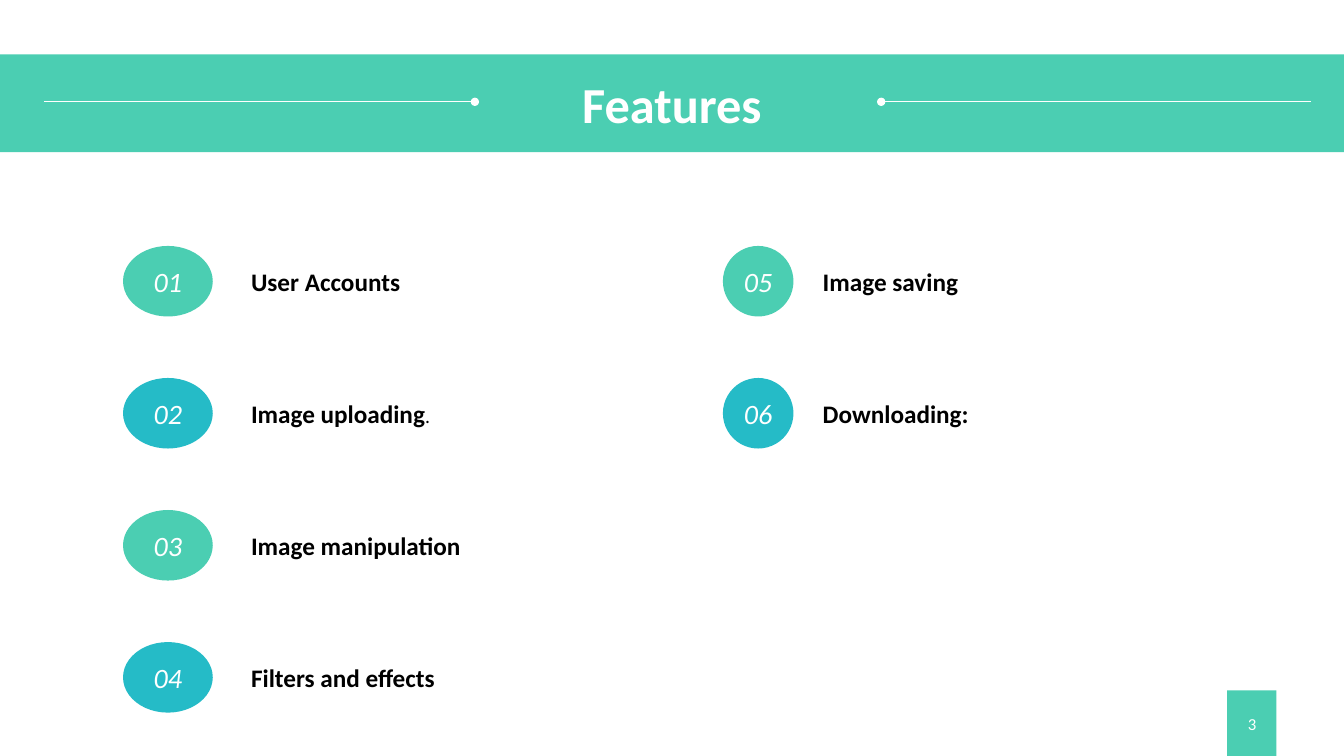
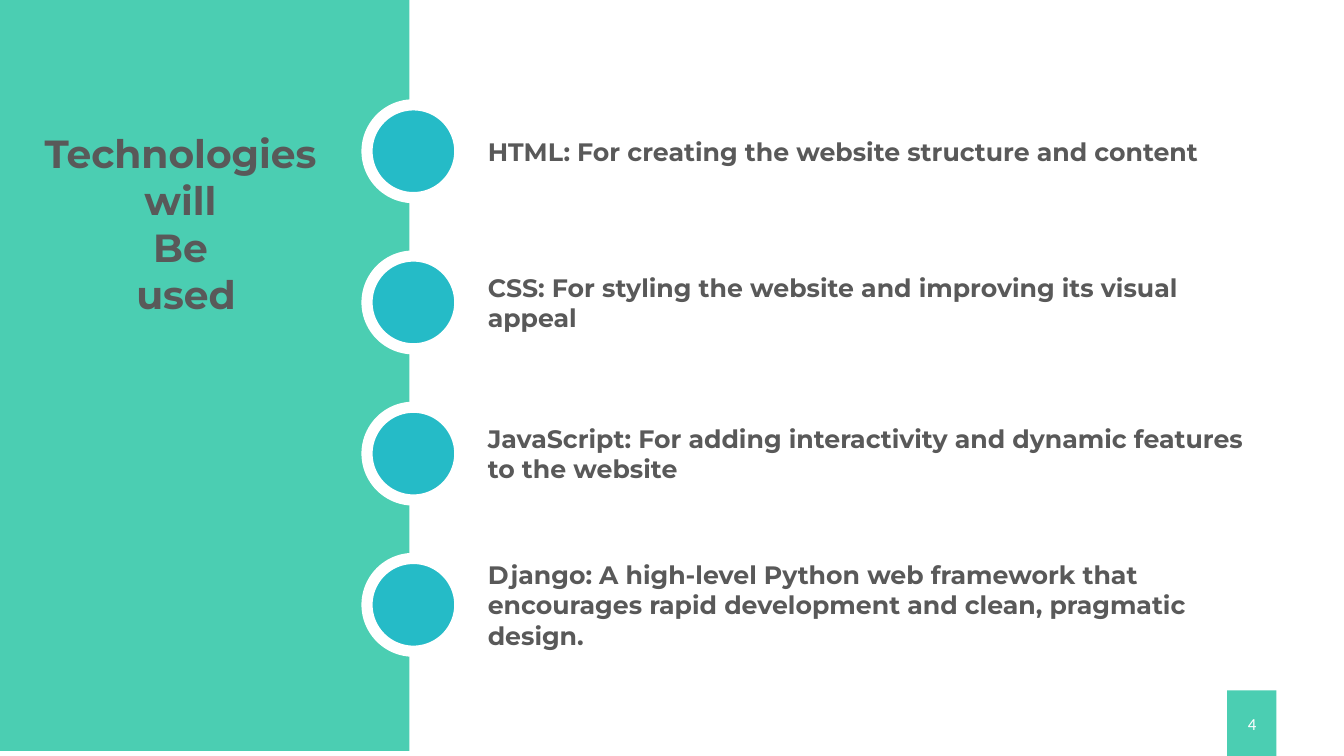
"""Build the features and technologies slides of a web project deck."""
from dataclasses import dataclass

from lxml.etree import SubElement
from pptx import Presentation
from pptx.dml.color import RGBColor
from pptx.enum.shapes import MSO_CONNECTOR as Connector, MSO_SHAPE as Preset
from pptx.enum.text import MSO_ANCHOR as Anchor, MSO_AUTO_SIZE as AutoSize, PP_ALIGN as Align
from pptx.oxml.ns import qn
from pptx.util import Inches, Pt

COLORS = {
    "green": "4BCEB2",
    "blue": "25BBC7",
    "white": "FFFFFF",
    "black": "000000",
    "gray": "595959",
}


@dataclass(frozen=True)
class TextStyle:
    size: float
    color: str
    font: str = "Calibri"
    bold: bool = False
    italic: bool = False
    align: Align = Align.LEFT


@dataclass(frozen=True)
class Area:
    left: float
    top: float
    width: float
    height: float

    def lengths(self) -> tuple:
        return tuple(Inches(value) for value in (self.left, self.top, self.width, self.height))


@dataclass(frozen=True)
class FeatureColumn:
    badge_left: float
    badge_width: float
    label_left: float
    label_width: float
    first_number: int
    labels: tuple[str, ...]


@dataclass(frozen=True)
class Technology:
    text: str
    height: float


BAND_TITLE = TextStyle(36, "white", bold=True, align=Align.CENTER)
SIDE_TITLE = TextStyle(28, "gray", "Montserrat", bold=True, align=Align.CENTER)
BADGE = TextStyle(20, "white", italic=True, align=Align.CENTER)
LABEL = TextStyle(18, "black", bold=True)
TECHNOLOGY = TextStyle(18, "gray", "Montserrat", bold=True)
PAGE_NUMBER = TextStyle(12, "white", align=Align.CENTER)

FEATURE_COLUMNS = (
    FeatureColumn(1.22, 0.89, 2.49, 3.04, 1,
                  ("User Accounts", "Image uploading", "Image manipulation", "Filters and effects")),
    FeatureColumn(7.17, 0.7, 8.16, 2.38, 5, ("Image saving", "Downloading:")),
)
TECHNOLOGIES = (
    Technology("HTML: For creating the website structure and content", 0.4),
    Technology("CSS: For styling the website and improving its visual appeal", 0.71),
    Technology("JavaScript: For adding interactivity and dynamic features to the website", 0.71),
    Technology("Django: A high-level Python web framework that encourages rapid "
               "development and clean, pragmatic design.", 1.01),
)


def rgb(name: str) -> RGBColor:
    return RGBColor.from_string(COLORS[name])


def write(frame, lines: tuple[str, ...], style: TextStyle) -> None:
    for index, line in enumerate(lines):
        para = frame.add_paragraph() if index else frame.paragraphs[0]
        para.add_run().text = line
        para.alignment = style.align
        font = para.font
        font.name, font.size = style.font, Pt(style.size)
        font.bold, font.italic = style.bold, style.italic
        font.color.rgb = rgb(style.color)


def add_text(page, area: Area, lines: tuple[str, ...], style: TextStyle,
             inset: bool = False, wrap: bool = True, anchor: Anchor = Anchor.MIDDLE):
    box = page.shapes.add_textbox(*area.lengths())
    frame = box.text_frame
    frame.word_wrap, frame.vertical_anchor = wrap, anchor
    frame.auto_size = AutoSize.SHAPE_TO_FIT_TEXT
    if not inset:
        frame.margin_left = frame.margin_right = frame.margin_top = frame.margin_bottom = 0
    write(frame, lines, style)
    return box


def add_filled(page, preset: Preset, area: Area, color: str, outline: float = 0):
    shape = page.shapes.add_shape(preset, *area.lengths())
    shape.shadow.inherit = False
    shape.fill.solid()
    shape.fill.fore_color.rgb = rgb(color)
    if outline:
        shape.line.color.rgb = rgb("white")
        shape.line.width = Pt(outline)
    else:
        shape.line.fill.background()
    return shape


def add_title_rule(page, outer: float, inner: float) -> None:
    height = Inches(1.01)
    rule = page.shapes.add_connector(Connector.STRAIGHT, Inches(outer), height, Inches(inner), height)
    rule.line.color.rgb = rgb("white")
    rule.line.width = Pt(0.5)
    SubElement(rule.line._get_or_add_ln(), qn("a:tailEnd"), type="oval")
    SubElement(rule._element.spPr, qn("a:effectLst"))


def add_page(deck, number: int):
    page = deck.slides.add_slide(deck.slide_layouts[6])
    add_filled(page, Preset.RECTANGLE, Area(12.17, 6.85, 0.49, 0.65), "green")
    add_text(page, Area(12.32, 7.08, 0.2, 0.2), (str(number),), PAGE_NUMBER, wrap=False)
    return page


def add_feature_column(page, column: FeatureColumn) -> None:
    for row, label in enumerate(column.labels):
        top = 2.44 + 1.31 * row
        badge = add_filled(page, Preset.OVAL, Area(column.badge_left, top, column.badge_width, 0.7),
                           ("green", "blue")[row % 2])
        frame = badge.text_frame
        frame.margin_left = frame.margin_right = 0
        frame.vertical_anchor = Anchor.MIDDLE
        write(frame, (f"{column.first_number + row:02d}",), BADGE)
        box = add_text(page, Area(column.label_left, top + 0.2, column.label_width, 0.3), (label,), LABEL)
        if label == "Image uploading":
            span = box.text_frame.paragraphs[0].add_run()
            span.text = "."
            span.font.size, span.font.bold = Pt(14), False


def build_features(deck) -> None:
    page = add_page(deck, 3)
    for column in FEATURE_COLUMNS:
        add_feature_column(page, column)
    band = add_filled(page, Preset.RECTANGLE, Area(0, 0.54, 13.33, 0.97), "green")
    band.text_frame.vertical_anchor = Anchor.MIDDLE
    write(band.text_frame, ("Features",), BAND_TITLE)
    add_title_rule(page, 0.44, 4.71)
    add_title_rule(page, 13, 8.74)


def build_technologies(deck) -> None:
    page = add_page(deck, 4)
    add_filled(page, Preset.RECTANGLE, Area(-0.01, -0.05, 4.07, 7.5), "green")
    for row, technology in enumerate(TECHNOLOGIES):
        middle = 1.5 + 1.5 * row
        add_text(page, Area(4.74, middle - technology.height / 2, 7.96, technology.height),
                 (technology.text,), TECHNOLOGY, inset=True)
        add_filled(page, Preset.OVAL, Area(3.64, middle - 0.46, 0.92, 0.92), "blue", outline=8)
    add_text(page, Area(0.3, 1.23, 2.98, 2.59), ("Technologies", " will ", "Be", " used"),
             SIDE_TITLE, inset=True, anchor=Anchor.TOP)


def main() -> None:
    deck = Presentation()
    deck.slide_width, deck.slide_height = Inches(13.33), Inches(7.5)
    build_features(deck)
    build_technologies(deck)
    deck.save("out.pptx")


if __name__ == "__main__":
    main()
